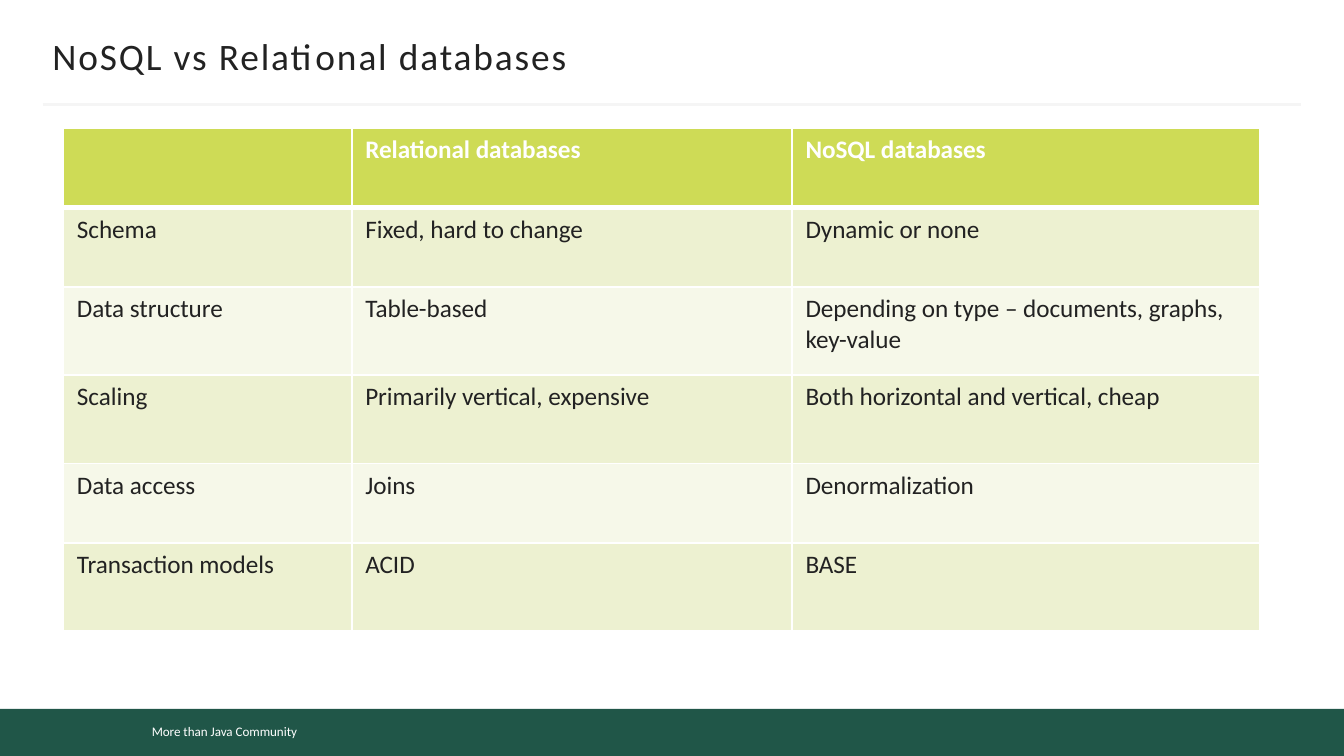
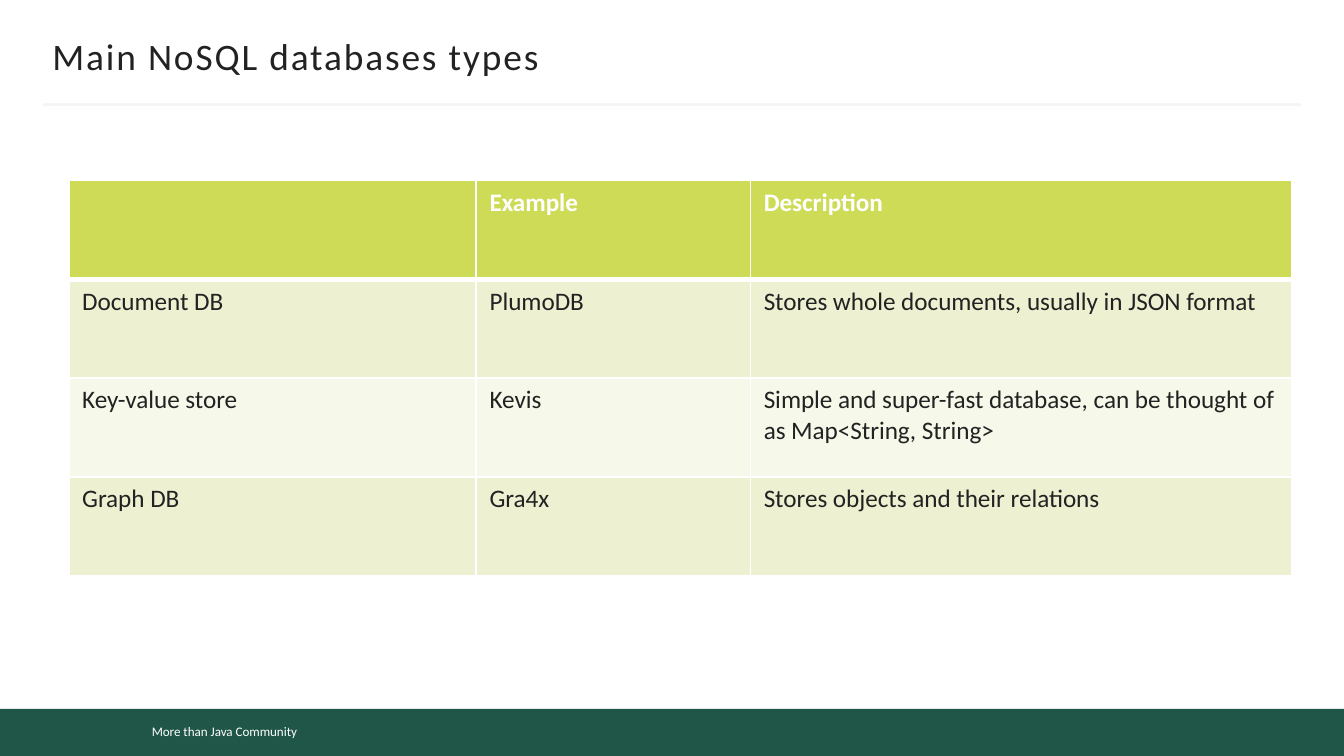
from dataclasses import dataclass

from lxml.etree import SubElement
from pptx import Presentation
from pptx.dml.color import RGBColor
from pptx.enum.shapes import MSO_CONNECTOR as Connector, MSO_SHAPE as Shape
from pptx.enum.text import MSO_ANCHOR as Anchor, PP_ALIGN as Align
from pptx.oxml import parse_xml
from pptx.oxml.ns import nsdecls, qn
from pptx.util import Cm, Pt

FONT = "Calibri"
WHITE, INK, RULE = "FFFFFF", "222222", "F5F5F5"
GREEN, LIME = "205648", "CEDB56"
BANDS = ("F6F8E9", "EDF1D1")
WIDTH, HEIGHT = 25.4, 14.29
FOOTER = "More than Java Community"
THIN, THICK = 1, 3


@dataclass
class TableSlide:
    title: str
    left: float
    top: float
    columns: list[float]
    heights: list[float]
    rows: list[list[str]]


SLIDES = [
    TableSlide(
        "NoSQL vs Relational databases", 1.2, 2.42,
        [5.45, 8.32, 8.83], [1.5, 1.5, 1.67, 1.67, 1.5, 1.67],
        [
            ["", "Relational databases", "NoSQL databases"],
            ["Schema", "Fixed, hard to change", "Dynamic or none"],
            ["Data structure", "Table-based",
             "Depending on type – documents, graphs, key-value"],
            ["Scaling", "Primarily vertical, expensive",
             "Both horizontal and vertical, cheap"],
            ["Data access", "Joins", "Denormalization"],
            ["Transaction models", "ACID", "BASE"],
        ],
    ),
    TableSlide(
        "Main NoSQL databases types", 1.3, 3.41,
        [7.7, 5.18, 10.23], [1.87] * 4,
        [
            ["", "Example", "Description"],
            ["Document DB", "PlumoDB",
             "Stores whole documents, usually in JSON format"],
            ["Key-value store", "Kevis",
             "Simple and super-fast database, can be thought of as Map<String, String>"],
            ["Graph DB", "Gra4x", "Stores objects and their relations"],
        ],
    ),
]


def color(value: str) -> RGBColor:
    return RGBColor.from_string(value)


def write(tf, text: str, size: float, ink: str, bold: bool = False) -> None:
    tf.text = text
    p = tf.paragraphs[0]
    p.alignment = Align.LEFT
    for r in p.runs:
        r.font.name = FONT
        r.font.size = Pt(size)
        r.font.bold = bold
        r.font.color.rgb = color(ink)


def add_bar(slide, left: float, top: float, width: float, height: float):
    sp = slide.shapes.add_shape(Shape.RECTANGLE, Cm(left), Cm(top), Cm(width), Cm(height))
    sp.shadow.inherit = False
    sp.fill.solid()
    sp.fill.fore_color.rgb = color(GREEN)
    sp.line.fill.background()
    return sp


def add_frame(slide) -> None:
    """Draw the footer band and the rule under the title."""
    add_bar(slide, 0, 13.4, WIDTH, HEIGHT - 13.4)
    label = add_bar(slide, 2.62, 13.54, 6.73, 0.56)
    label.text_frame.vertical_anchor = Anchor.MIDDLE
    write(label.text_frame, FOOTER, 7, WHITE)
    rule = slide.shapes.add_connector(
        Connector.STRAIGHT, Cm(0.81), Cm(1.98), Cm(WIDTH - 0.81), Cm(1.98))
    rule.line.color.rgb = color(RULE)
    rule.line.width = Pt(1.5)
    SubElement(rule._element.spPr, qn("a:effectLst"))


def add_title(slide, text: str) -> None:
    box = slide.shapes.add_textbox(Cm(0.99), Cm(0.64), Cm(23.42), Cm(0.84))
    tf = box.text_frame
    tf.word_wrap = False
    tf.vertical_anchor = Anchor.MIDDLE
    tf.margin_left = tf.margin_right = 0
    write(tf, text, 20, INK)
    tf.paragraphs[0].runs[0].font._element.set("spc", "100")


def set_borders(cell, top: float, bottom: float) -> None:
    widths = {"lnL": THIN, "lnR": THIN, "lnT": top, "lnB": bottom}
    for i, (tag, width) in enumerate(widths.items()):
        cell._tc.get_or_add_tcPr().insert(i, parse_xml(
            f'<a:{tag} {nsdecls("a")} w="{Pt(width)}"><a:solidFill>'
            f'<a:srgbClr val="{WHITE}"/></a:solidFill></a:{tag}>'))


def add_table(slide, spec_: TableSlide) -> None:
    table = slide.shapes.add_table(
        len(spec_.rows), len(spec_.columns), Cm(spec_.left), Cm(spec_.top),
        Cm(sum(spec_.columns)), Cm(sum(spec_.heights))).table
    for column, width in zip(table.columns, spec_.columns):
        column.width = Cm(width)
    for i, (row, height) in enumerate(zip(table.rows, spec_.heights)):
        row.height = Cm(height)
        header = i == 0
        for cell, text in zip(row.cells, spec_.rows[i]):
            write(cell.text_frame, text, 13.5, WHITE if header else INK, header)
            cell.fill.solid()
            cell.fill.fore_color.rgb = color(LIME if header else BANDS[i % 2])
            set_borders(cell, THICK if i == 1 else THIN, THICK if header else THIN)


def main() -> None:
    prs = Presentation()
    prs.slide_width, prs.slide_height = Cm(WIDTH), Cm(HEIGHT)
    for content in SLIDES:
        slide = prs.slides.add_slide(prs.slide_layouts[6])
        add_frame(slide)
        add_title(slide, content.title)
        add_table(slide, content)
    prs.save("out.pptx")


if __name__ == "__main__":
    main()
